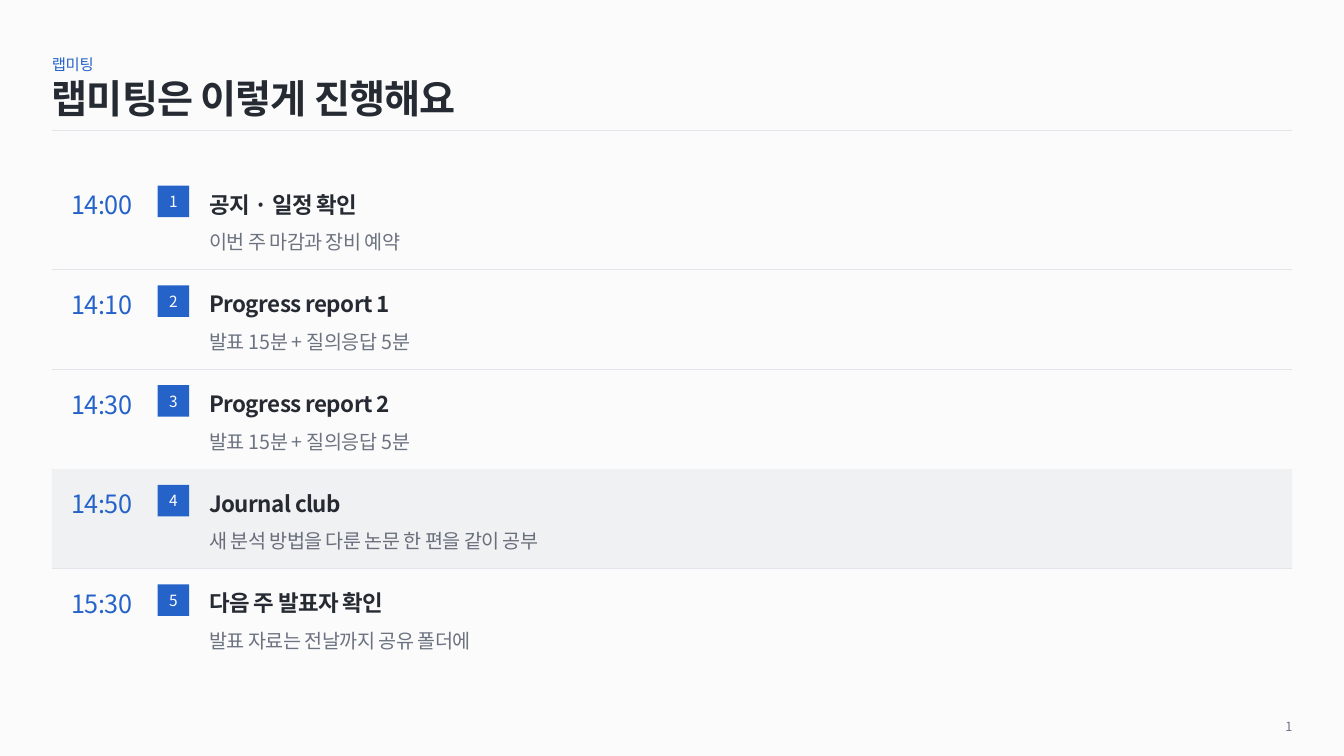
from lxml import etree
from pptx import Presentation
from pptx.dml.color import RGBColor
from pptx.enum.shapes import MSO_CONNECTOR, MSO_SHAPE
from pptx.enum.text import MSO_ANCHOR, PP_ALIGN
from pptx.oxml.ns import qn
from pptx.util import Pt

FONT = "Noto Sans CJK KR"
COLORS = {
    "background": "FBFBFB",
    "accent": "2563C9",
    "ink": "262B33",
    "muted": "6B7280",
    "muted_on_band": "686E7C",
    "rule": "E2E5EA",
    "band": "F0F1F2",
    "white": "FFFFFF",
}
LEFT, RIGHT = 37, 923
WIDTH = RIGHT - LEFT
FIRST_ROW, ROW_HEIGHT = 121.5, 71.2
TEXT_LEFT, TEXT_WIDTH = 149.5, 774
BADGE = 22.5
HIGHLIGHTED = 4

AGENDA = [
    ("14:00", "공지 · 일정 확인", "이번 주 마감과 장비 예약"),
    ("14:10", "Progress report 1", "발표 15분 + 질의응답 5분"),
    ("14:30", "Progress report 2", "발표 15분 + 질의응답 5분"),
    ("14:50", "Journal club", "새 분석 방법을 다룬 논문 한 편을 같이 공부"),
    ("15:30", "다음 주 발표자 확인", "발표 자료는 전날까지 공유 폴더에"),
]


def rgb(name):
    """Return the named colour."""
    return RGBColor.from_string(COLORS[name])


def write(shape, text, size, color, bold=False, spacing=-0.4, line=None,
          anchor=MSO_ANCHOR.TOP, align=PP_ALIGN.LEFT):
    """Put one styled line of text, without margins, into a shape."""
    frame = shape.text_frame
    frame.word_wrap = True
    frame.vertical_anchor = anchor
    frame.margin_left = frame.margin_right = 0
    frame.margin_top = frame.margin_bottom = 0
    paragraph = frame.paragraphs[0]
    paragraph.alignment = align
    if line:
        paragraph.line_spacing = line
    run = paragraph.add_run()
    run.text = text
    run.font.size = Pt(size)
    run.font.bold = bold
    run.font.color.rgb = rgb(color)
    run.font.name = FONT
    properties = run.font._element
    etree.SubElement(properties, qn("a:ea")).set("typeface", FONT)
    if spacing:
        properties.set("spc", str(round(spacing * 100)))


def add_text(slide, left, top, width, height, text, size, color, **style):
    """Add a text box with one line of text."""
    box = slide.shapes.add_textbox(Pt(left), Pt(top), Pt(width), Pt(height))
    write(box, text, size, color, **style)


def add_rect(slide, left, top, width, height, color):
    """Add a plain filled rectangle."""
    rect = slide.shapes.add_shape(
        MSO_SHAPE.RECTANGLE, Pt(left), Pt(top), Pt(width), Pt(height))
    rect.shadow.inherit = False
    rect.fill.solid()
    rect.fill.fore_color.rgb = rgb(color)
    rect.line.fill.background()
    return rect


def add_rule(slide, y):
    """Add a thin rule across the content width."""
    rule = slide.shapes.add_connector(
        MSO_CONNECTOR.STRAIGHT, Pt(LEFT), Pt(y), Pt(RIGHT), Pt(y))
    rule.line.color.rgb = rgb("rule")
    rule.line.width = Pt(0.75)
    etree.SubElement(rule._element.spPr, qn("a:effectLst"))


def add_header(slide):
    """Add the section label, the title and the rule below them."""
    add_text(slide, LEFT, 37, 397, 15.5, "랩미팅", 11, "accent",
             spacing=-0.2, anchor=MSO_ANCHOR.BOTTOM)
    add_text(slide, LEFT, 52.5, WIDTH, 35.5, "랩미팅은 이렇게 진행해요", 28, "ink",
             bold=True, spacing=-0.6, anchor=MSO_ANCHOR.MIDDLE)
    add_rule(slide, 93.25)


def add_agenda_row(slide, number, time, topic, detail):
    """Add one agenda row: time, numbered badge, topic and detail."""
    top = FIRST_ROW + (number - 1) * ROW_HEIGHT
    detail_color = "muted"
    if number == HIGHLIGHTED:
        add_rect(slide, LEFT, top, WIDTH, ROW_HEIGHT, "band")
        detail_color = "muted_on_band"
    if number < len(AGENDA):
        add_rule(slide, top + ROW_HEIGHT)
    add_text(slide, 51, top + 9.5, 62, 26, time, 18, "accent",
             line=1.2, anchor=MSO_ANCHOR.MIDDLE)
    badge = add_rect(slide, 112.6, top + 11.2, BADGE, BADGE, "accent")
    write(badge, str(number), 11, "white",
          anchor=MSO_ANCHOR.MIDDLE, align=PP_ALIGN.CENTER)
    add_text(slide, TEXT_LEFT, top + 11, TEXT_WIDTH, 23, topic, 16, "ink",
             bold=True, line=1.2)
    add_text(slide, TEXT_LEFT, top + 38, TEXT_WIDTH, 23, detail, 14,
             detail_color, line=1.3)


def main():
    """Build the lab meeting agenda slide."""
    deck = Presentation()
    deck.slide_width, deck.slide_height = Pt(960), Pt(540)
    slide = deck.slides.add_slide(deck.slide_layouts[6])
    slide.background.fill.solid()
    slide.background.fill.fore_color.rgb = rgb("background")

    add_header(slide)
    for number, entry in enumerate(AGENDA, start=1):
        add_agenda_row(slide, number, *entry)
    add_text(slide, RIGHT - 85, 512, 85, 14, "1", 9, "muted", spacing=0,
             anchor=MSO_ANCHOR.MIDDLE, align=PP_ALIGN.RIGHT)

    deck.save("out.pptx")


main()
